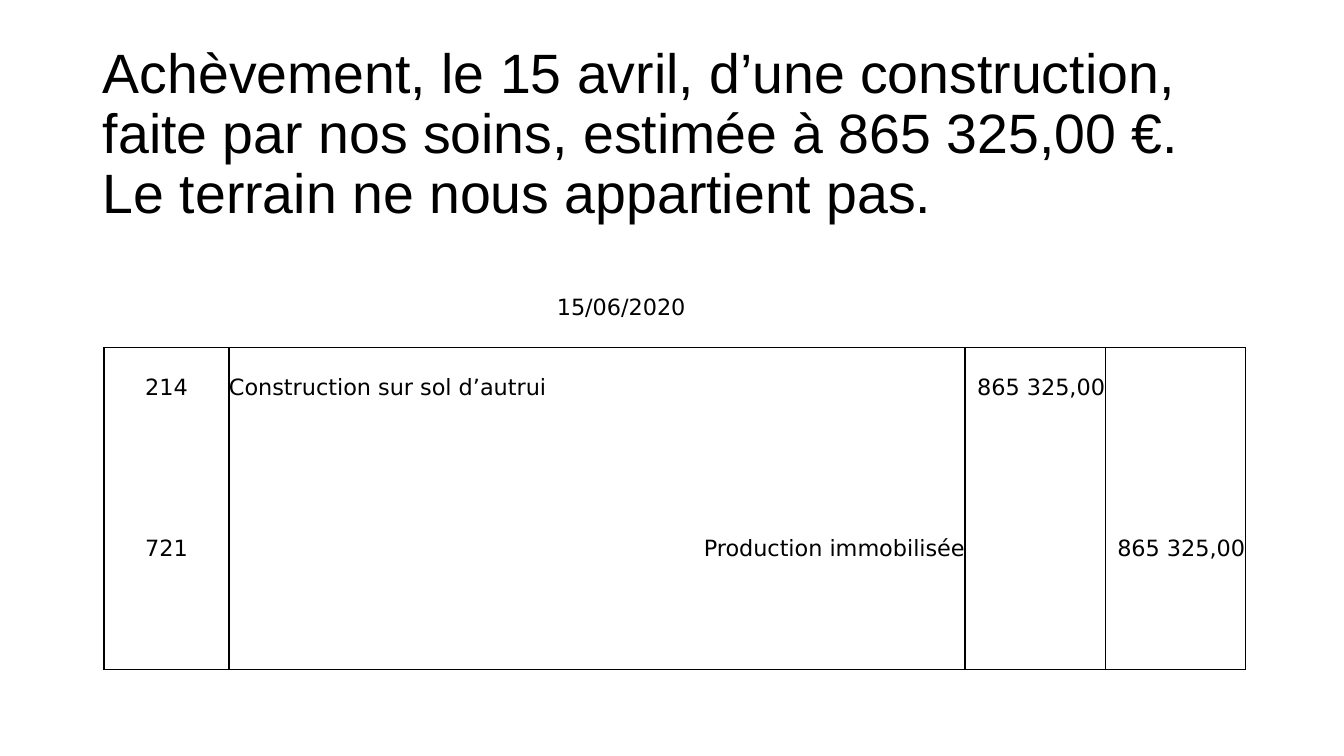
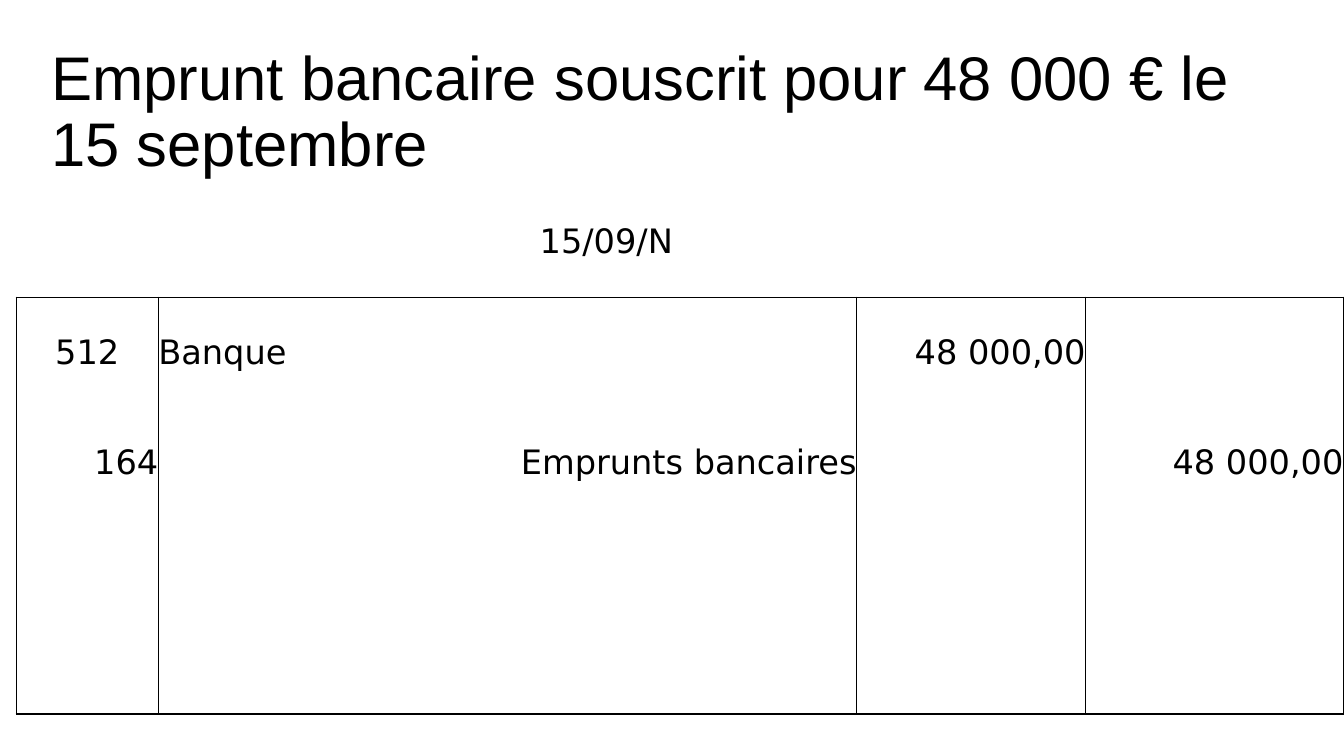
import pptx
import pptx.dml.color
import pptx.enum.text
import pptx.oxml
import pptx.util
from pptx.oxml.ns import nsdecls, qn

Cm, Pt = pptx.util.Cm, pptx.util.Pt
ALIGN = pptx.enum.text.PP_ALIGN
MIDDLE = pptx.enum.text.MSO_ANCHOR.MIDDLE

# Shared look
COLORS = {"text": "000000", "rule": "000000"}
FONTS = {"title": "Arial", "journal": "DejaVu Sans"}
RULE_WIDTH = Pt(1)
PLAIN_TABLE_STYLE = "{2D5ABB26-0587-4C30-8999-92F81FD0307C}"
TITLE_FRAME = {"word_wrap": True, "vertical_anchor": MIDDLE,
               "auto_size": pptx.enum.text.MSO_AUTO_SIZE.NONE}
CELL_FORMAT = {"margin_left": 0, "margin_right": 0, "margin_top": 0,
               "margin_bottom": 0, "vertical_anchor": MIDDLE}

# Journal columns: account, label (three grid columns), debit, credit
ACCOUNT, LABEL, LABEL_END, DEBIT, CREDIT = 0, 1, 3, 4, 5
DATE = 2


def set_format(obj, values):
    for name, value in values.items():
        setattr(obj, name, value)


def write(p, text, font, size, align):
    r = p.add_run()
    r.text = text
    p.alignment = align
    set_format(r.font, {"name": font, "size": Pt(size)})
    r.font.color.rgb = pptx.dml.color.RGBColor.from_string(COLORS["text"])


def add_title(slide, text, box, size):
    sp = slide.shapes.title
    set_format(sp, dict(zip(("left", "top", "width", "height"), map(Cm, box))))
    tf = sp.text_frame
    set_format(tf, TITLE_FRAME)
    p = tf.paragraphs[0]
    p.line_spacing = 0.9
    write(p, text, FONTS["title"], size, ALIGN.LEFT)


def set_borders(cell, sides):
    """Rule the given sides (letters of LRTB) and clear the others."""
    tcPr = cell._tc.get_or_add_tcPr()
    for i, side in enumerate("LRTB"):
        if side in sides:
            line = f'<a:solidFill><a:srgbClr val="{COLORS["rule"]}"/></a:solidFill>'
        else:
            line = "<a:noFill/>"
        tcPr.insert(i, pptx.oxml.parse_xml(
            f'<a:ln{side} {nsdecls("a")} w="{RULE_WIDTH}">{line}</a:ln{side}>'))


def journal_sides(row, col, last_row):
    """The date row is open; the entries below share one ruled frame."""
    if row == 0:
        return "B"
    sides = "T" if row == 1 else "B" if row == last_row else ""
    if col not in (DATE, LABEL_END):
        sides += "L"
    if col != DATE:
        sides += "R"
    return sides


def add_journal(slide, left, top, widths, heights, size, entries):
    table = slide.shapes.add_table(len(heights), len(widths), Cm(left), Cm(top),
                                   Cm(sum(widths)), Cm(sum(heights))).table
    set_format(table, {"first_row": False, "horz_banding": False})
    table._tbl.tblPr.find(qn("a:tableStyleId")).text = PLAIN_TABLE_STYLE
    for col, width in zip(table.columns, widths):
        col.width = Cm(width)
    for i, height in enumerate(heights):
        table.rows[i].height = Cm(height)
        for j in range(len(widths)):
            cell = table.cell(i, j)
            set_format(cell, CELL_FORMAT)
            cell.fill.background()
            set_borders(cell, journal_sides(i, j, len(heights) - 1))
        if i:
            table.cell(i, LABEL).merge(table.cell(i, LABEL_END))
    for row, col, text, align in entries:
        p = table.cell(row, col).text_frame.paragraphs[0]
        write(p, text, FONTS["journal"], size, align)


# Content of each slide
SLIDES = [
    {
        "title": ("Achèvement, le 15 avril, d’une construction, faite par nos soins, "
                  "estimée à 865 325,00 €. Le terrain ne nous appartient pas.",
                  (2.34, 1.02, 29.21, 4.78), 39.6),
        "journal": (2.62, 6.73, (3.15, 8.03, 3.71, 6.81, 3.53, 3.53), [2.03] * 5, 16, [
            (0, DATE, "15/06/2020", ALIGN.CENTER),
            (1, ACCOUNT, "214", ALIGN.CENTER),
            (1, LABEL, "Construction sur sol d’autrui", ALIGN.LEFT),
            (1, DEBIT, "865 325,00", ALIGN.RIGHT),
            (3, ACCOUNT, "721", ALIGN.CENTER),
            (3, LABEL, "Production immobilisée", ALIGN.RIGHT),
            (3, CREDIT, "865 325,00", ALIGN.RIGHT),
        ]),
    },
    {
        "title": ("Emprunt bancaire souscrit pour 48 000 € le 15 septembre",
                  (1.04, 1.02, 31.19, 3.68), 44),
        "journal": (0.41, 4.7, (3.58, 9.17, 4.24, 4.19, 5.77, 6.5),
                    [2.79] * 3 + [2.46] * 2, 24, [
            (0, DATE, "15/09/N", ALIGN.CENTER),
            (1, ACCOUNT, "512", ALIGN.CENTER),
            (1, LABEL, "Banque", ALIGN.LEFT),
            (1, DEBIT, "48 000,00", ALIGN.RIGHT),
            (2, ACCOUNT, "164", ALIGN.RIGHT),
            (2, LABEL, "Emprunts bancaires", ALIGN.RIGHT),
            (2, CREDIT, "48 000,00", ALIGN.RIGHT),
        ]),
    },
]


def main():
    prs = pptx.Presentation()
    set_format(prs, {"slide_width": Cm(33.87), "slide_height": Cm(19.05)})
    title_only = prs.slide_layouts[5]
    for content in SLIDES:
        slide = prs.slides.add_slide(title_only)
        add_title(slide, *content["title"])
        add_journal(slide, *content["journal"])
    prs.save("out.pptx")


if __name__ == "__main__":
    main()
